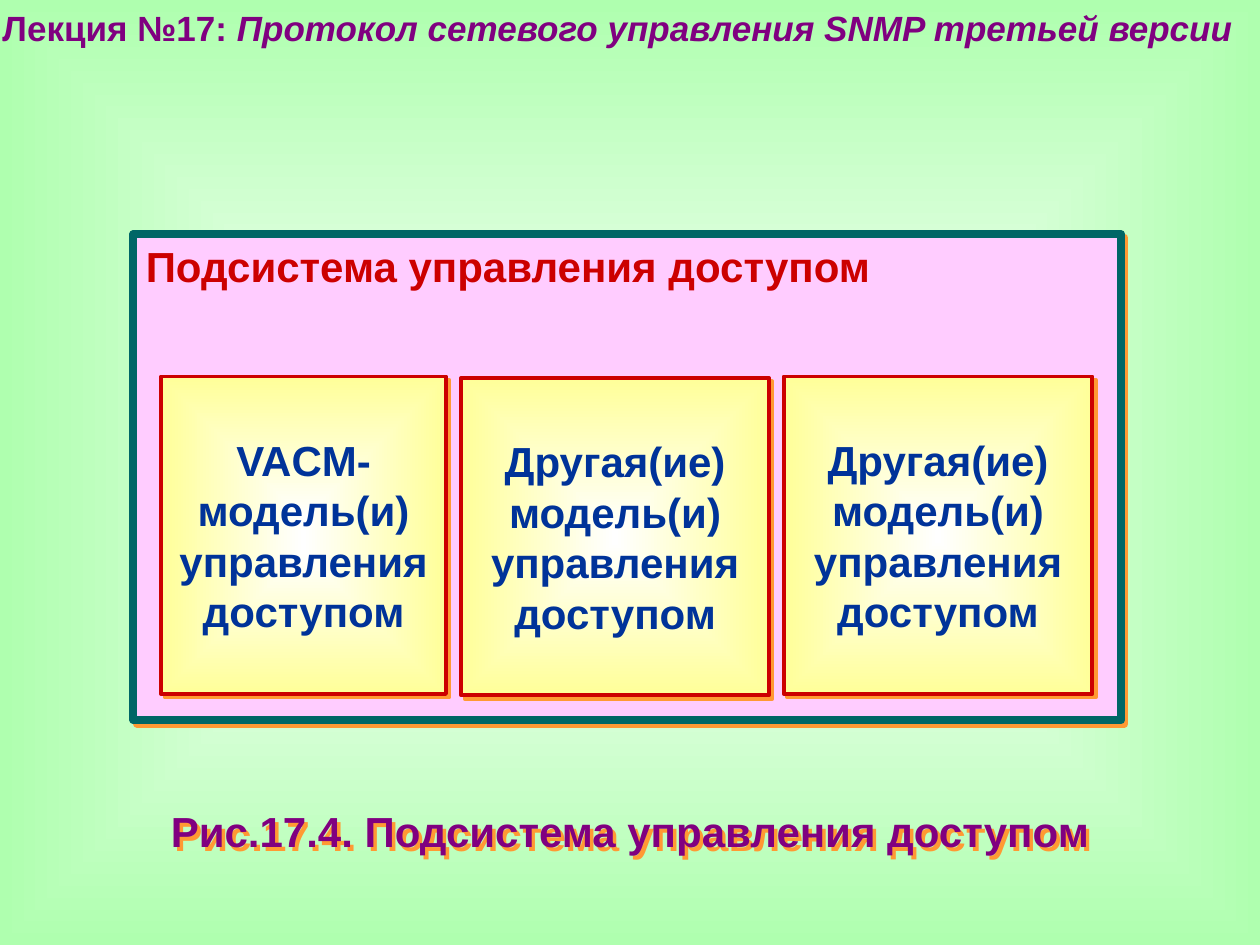
from dataclasses import dataclass

from lxml import etree
from pptx import Presentation
from pptx.dml.color import RGBColor
from pptx.enum.shapes import MSO_SHAPE
from pptx.enum.text import MSO_ANCHOR, MSO_AUTO_SIZE, PP_ALIGN
from pptx.oxml import parse_xml
from pptx.oxml.ns import nsdecls, qn
from pptx.util import Cm, Pt

RECT = MSO_SHAPE.RECTANGLE
TOP, MIDDLE = MSO_ANCHOR.TOP, MSO_ANCHOR.MIDDLE
LEFT, CENTER = PP_ALIGN.LEFT, PP_ALIGN.CENTER
FIXED = MSO_AUTO_SIZE.NONE

PURPLE, RED, BLUE, TEAL = "800080", "CC0000", "003399", "006666"
PINK, YELLOW, GREEN, ORANGE = "FFCCFF", "FFFF99", "AFFFAF", "FF9933"
WIDTH, HEIGHT = 25.4, 19.05


@dataclass
class Box:
    left: float
    top: float
    width: float
    height: float

    def spot(self) -> list:
        return [Cm(n) for n in (self.left, self.top, self.width, self.height)]


@dataclass
class Card:
    text: str
    box: Box


OTHER = "Другая(ие) модель(и) управления доступом"
CARDS = [
    Card("VACM-модель(и) управления доступом", Box(3.25, 7.59, 5.74, 6.4)),
    Card(OTHER, Box(9.3, 7.62, 6.2, 6.4)),
    Card(OTHER, Box(15.8, 7.59, 6.22, 6.4)),
]


def color(code: str) -> RGBColor:
    return RGBColor.from_string(code)


def glow(root, code: str) -> None:
    """Turn the first solid fill under root into a white-centred gradient."""
    old = root.find(".//" + qn("a:solidFill"))
    new = parse_xml(
        f'<a:gradFill {nsdecls("a")} rotWithShape="1"><a:gsLst>'
        '<a:gs pos="0"><a:srgbClr val="FFFFFF"/></a:gs>'
        f'<a:gs pos="100000"><a:srgbClr val="{code}"/></a:gs></a:gsLst>'
        '<a:path path="shape"><a:fillToRect l="50000" t="50000" '
        'r="50000" b="50000"/></a:path></a:gradFill>')
    old.getparent().replace(old, new)


def shade(shape) -> None:
    """Give the shape a hard orange shadow, down and to the right."""
    shape.shadow.inherit = False
    effects = shape.element.spPr.find(qn("a:effectLst"))
    outer = etree.SubElement(effects, qn("a:outerShdw"), dist=str(Pt(2.8)),
                             dir="2700000", algn="ctr", rotWithShape="0")
    etree.SubElement(outer, qn("a:srgbClr"), val=ORANGE)


def write(shape, parts: list[tuple[str, bool]], size: int, code: str,
          align=CENTER, **frame) -> None:
    """Write (text, italic) parts as one paragraph."""
    body = shape.text_frame
    look = {"word_wrap": True, "auto_size": FIXED, **frame}
    for name, value in look.items():
        setattr(body, name, value)
    line = body.paragraphs[0]
    line.alignment = align
    for text, slant in parts:
        run = line.add_run()
        run.text = text
        form = {"name": "Arial", "size": Pt(size), "bold": True, "italic": slant}
        for name, value in form.items():
            setattr(run.font, name, value)
        run.font.color.rgb = color(code)


def panel(slide, box: Box, fill: str, edge: str, weight: float):
    shape = slide.shapes.add_shape(RECT, *box.spot())
    shape.fill.solid()
    shape.fill.fore_color.rgb = color(fill)
    shape.line.color.rgb = color(edge)
    shape.line.width = Pt(weight)
    shade(shape)
    return shape


def draw_card(slide, card: Card) -> None:
    shape = panel(slide, card.box, YELLOW, RED, 2.25)
    glow(shape.element.spPr, YELLOW)
    write(shape, [(card.text, False)], 24, BLUE, vertical_anchor=MIDDLE,
          margin_left=0, margin_top=0, margin_right=0, margin_bottom=0)


def main() -> None:
    deck = Presentation()
    deck.slide_width, deck.slide_height = Cm(WIDTH), Cm(HEIGHT)
    slide = deck.slides.add_slide(deck.slide_layouts[5])
    slide.background.fill.solid()
    glow(slide.element, GREEN)

    title = slide.shapes.title
    title.left, title.top, title.width, title.height = Box(0, 0, WIDTH, 1.09).spot()
    write(title, [("Лекция №17: ", False),
                  ("Протокол сетевого управления SNMP третьей версии", True)],
          20, PURPLE, LEFT, vertical_anchor=MIDDLE,
          margin_left=Cm(0.05), margin_right=Cm(0.05))

    frame = panel(slide, Box(2.69, 4.72, 19.91, 9.8), PINK, TEAL, 4.5)
    write(frame, [("Подсистема управления доступом", False)], 24, RED, LEFT,
          vertical_anchor=TOP)
    for card in CARDS:
        draw_card(slide, card)

    note = slide.shapes.add_textbox(*Box(0, 16.23, WIDTH, 1.17).spot())
    shade(note)
    write(note, [("Рис.17.4. Подсистема управления доступом", False)], 24, PURPLE)
    note.text_frame.paragraphs[0].line_spacing = 0.9

    deck.save("out.pptx")


if __name__ == "__main__":
    main()
